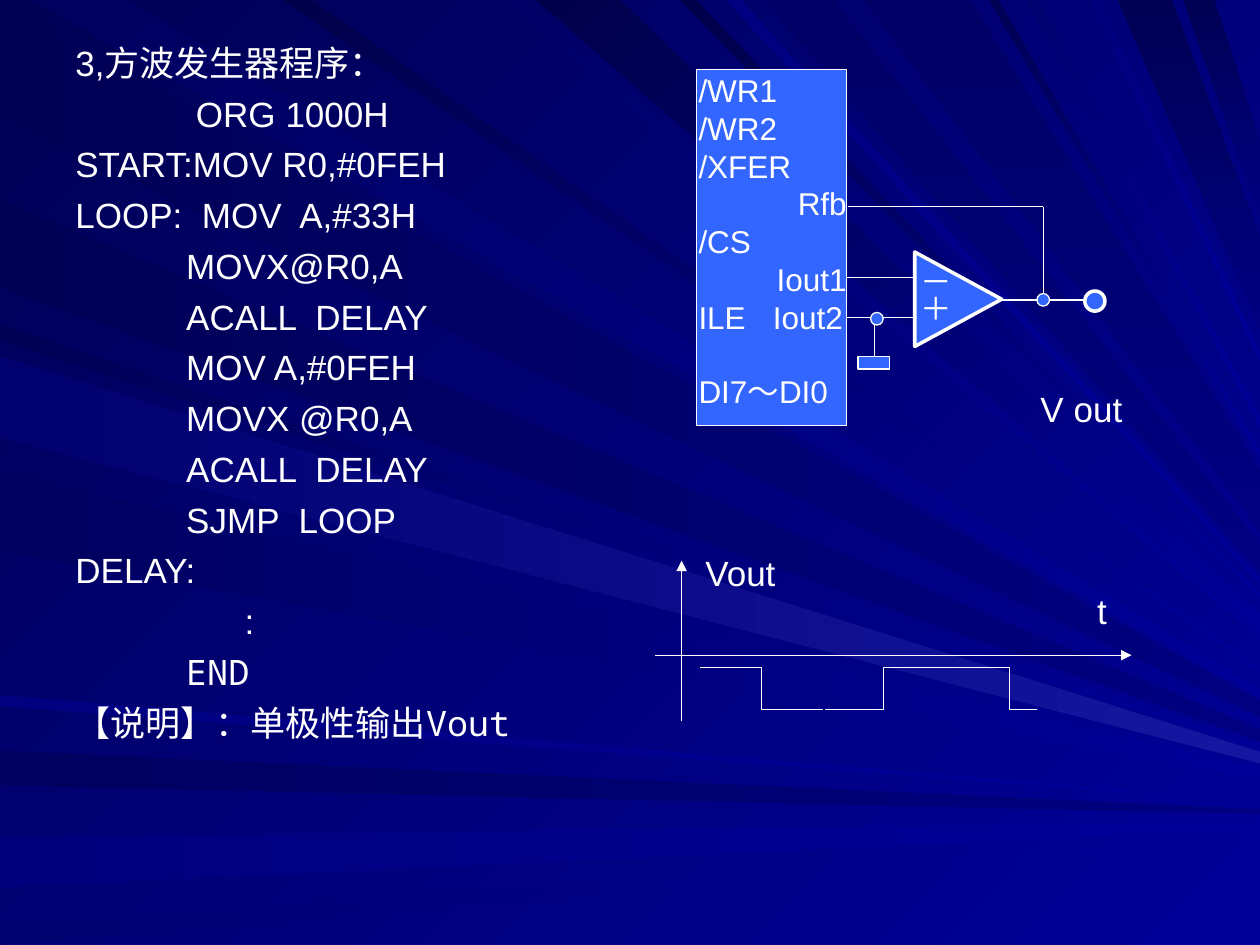
from lxml.etree import SubElement
from pptx import Presentation
from pptx.dml.color import RGBColor
from pptx.enum.shapes import MSO_CONNECTOR as Connector, MSO_SHAPE as Shape
from pptx.enum.text import MSO_ANCHOR as Anchor, PP_ALIGN as Align
from pptx.oxml.ns import qn
from pptx.util import Inches, Pt

COLORS = {
    "white": "FFFFFF", "part": "3366FF", "bright": "000099", "mid": "000080",
    "royal": "00007C", "blue": "00006E", "deep": "000066", "navy": "00005E",
    "ink": "000055", "night": "00004A", "glow": "1616A1",
}
WIDTH, HEIGHT = Inches(10), Inches(7.5)
COLUMNS = 10
UNIT = WIDTH / COLUMNS  # all lengths below are in grid columns

# Background rays run from a span of the left or top edge towards one focus
FOCUS = (11.7, 6.5)
LEFT_RAYS = [
    (0.02, 0.93, "mid", "ink"), (5.96, 6.23, "mid", "navy"),
    (6.65, 7.04, "bright", "royal"), (7.35, 7.5, "bright", "blue"),
    (2.58, 2.7, "bright", "ink"), (1.59, 2.28, "mid", "ink"),
    (3.74, 4.37, "bright", "navy"), (5.52, 5.6, "bright", "mid"),
    (2.83, 3.47, "glow", "blue"),
]
TOP_RAYS = [
    (0.26, 1.01, "bright", "navy"), (3.98, 4.16, "bright", "deep"),
    (4.26, 4.92, "bright", "night"), (5.4, 5.52, "bright", "night"),
    (6.06, 6.61, "deep", "mid"), (8.87, 9.3, "ink", "mid"),
    (9.39, 9.64, "ink", "mid"), (2.25, 2.47, "bright", "night"),
    (5.77, 5.88, "bright", "mid"), (6.86, 7.7, "deep", "mid"),
    (7.85, 7.92, "bright", "ink"), (8.15, 8.24, "bright", "blue"),
    (8.65, 8.72, "bright", "royal"),
]

PROGRAM = [
    "3,方波发生器程序：", "\t\t ORG 1000H", "START:MOV R0,#0FEH", "LOOP:  MOV  A,#33H",
    "\t\tMOVX@R0,A", "\t\tACALL  DELAY", "\t\tMOV A,#0FEH", "\t\tMOVX @R0,A",
    "\t\tACALL  DELAY", "\t\tSJMP  LOOP", "DELAY:", "\t\t      :",
]
ENDING = ["\t\tEND", "【说明】：单极性输出Vout"]
PINS = ["/WR1", "/WR2", "/XFER", "Rfb", "/CS", "Iout1", "ILE\tIout2", "DI7～DI0"]
RIGHT_PINS = {"Rfb", "Iout1"}
LABELS = [("V out", 8.16, 3.03, 0.97), ("Vout", 5.5, 4.33, 0.97), ("t", 8.61, 4.63, 0.41)]

AXES = [((5.2, 5.2), (8.98, 5.2)), ((5.41, 5.72), (5.41, 4.45))]
WIRES = [
    ((6.72, 2.2), (7.25, 2.2)), ((6.72, 2.52), (7.25, 2.52)),
    ((6.73, 1.64), (8.28, 1.64)), ((7.94, 2.38), (8.61, 2.38)),
    ((8.28, 1.64), (8.28, 2.38)), ((6.94, 2.52), (6.94, 2.83)),
]
HIGH, LOW = 5.3, 5.63
WAVE = [  # start, end, share of the width where the level changes
    ((5.56, HIGH), (6.53, LOW), 0.5), ((6.55, LOW), (7.48, HIGH), 0.5),
    ((7.48, HIGH), (8.23, LOW), 0.71),
]
TERMINALS = [  # shape, left, top, width, height, line width
    (Shape.OVAL, 8.23, 2.33, 0.1, 0.1, 0.75), (Shape.OVAL, 8.61, 2.31, 0.16, 0.16, 2),
    (Shape.RECTANGLE, 6.81, 2.83, 0.25, 0.1, 0.75), (Shape.OVAL, 6.91, 2.48, 0.1, 0.1, 0.75),
]


def grid(*lengths):
    return [round(length * UNIT) for length in lengths]


def color(name):
    return RGBColor.from_string(COLORS[name])


def paint_gradient(fill, first, second, angle):
    """Blend two colours along an angle that runs clockwise."""
    fill.gradient()
    fill.gradient_angle = 360 - angle
    for stop, name in zip(fill.gradient_stops, (first, second)):
        stop.color.rgb = color(name)


def at_right_edge(x, y):
    """Follow the line from a point to the focus as far as the right edge."""
    share = (COLUMNS - x) / (FOCUS[0] - x)
    return COLUMNS, y + (FOCUS[1] - y) * share


def add_ray(slide, start, end, first, second, angle):
    corners = [start, at_right_edge(*start), at_right_edge(*end), end]
    origin, *others = [grid(*corner) for corner in corners]
    builder = slide.shapes.build_freeform(*origin, scale=1.0)
    builder.add_line_segments(others, close=True)
    ray = builder.convert_to_shape()
    ray.shadow.inherit = False
    ray.line.fill.background()
    paint_gradient(ray.fill, first, second, angle)


def add_background(slide):
    paint_gradient(slide.background.fill, "bright", "ink", 225)
    for start, end, first, second in LEFT_RAYS:
        add_ray(slide, (0, start), (0, end), first, second, 180)
    for start, end, first, second in TOP_RAYS:
        angle = 225 if first == "bright" else 90
        add_ray(slide, (start, 0), (end, 0), first, second, angle)


def add_part(slide, kind, left, top, width, height, weight=0.75):
    part = slide.shapes.add_shape(kind, *grid(left, top, width, height))
    part.shadow.inherit = False
    part.fill.solid()
    part.fill.fore_color.rgb = color("part")
    part.line.color.rgb = color("white")
    part.line.width = Pt(weight)
    return part


def add_line(slide, start, end, arrow=False, bend=None):
    kind = Connector.STRAIGHT if bend is None else Connector.ELBOW
    line = slide.shapes.add_connector(kind, *grid(*start, *end))
    line.line.color.rgb = color("white")
    line.line.width = Pt(0.75)
    properties = line._element.spPr
    if arrow:
        SubElement(properties.find(qn("a:ln")), qn("a:tailEnd"), type="triangle")
    if bend is not None:
        guides = properties.find(qn("a:prstGeom")).find(qn("a:avLst"))
        SubElement(guides, qn("a:gd"), name="adj1", fmla=f"val {round(bend * 100000)}")
    SubElement(properties, qn("a:effectLst"))


def write(frame, lines, size, font="Arial", tabs=()):
    """Add one paragraph per line and return the paragraphs."""
    paragraphs = []
    for text in lines:
        paragraph = frame.add_paragraph() if frame.text else frame.paragraphs[0]
        paragraph.text = text
        if tabs:
            stops = SubElement(paragraph._p.get_or_add_pPr(), qn("a:tabLst"))
            for position in grid(*tabs):
                SubElement(stops, qn("a:tab"), pos=str(position), algn="l")
        paragraph.font.size = Pt(size)
        paragraph.font.name = font
        paragraph.font.color.rgb = color("white")
        paragraphs.append(paragraph)
    return paragraphs


def add_program(slide):
    frame = slide.shapes.add_textbox(*grid(0.5, 0.28, 4.84, 5.74)).text_frame
    frame.word_wrap = True
    tabs = range(8)
    lines = write(frame, PROGRAM, 20, tabs=tabs)
    lines += write(frame, ENDING, 20, "Noto Sans Mono", tabs)
    [margin] = grid(0.38)
    for paragraph in lines:
        properties = paragraph._p.get_or_add_pPr()
        properties.set("marL", str(margin))
        properties.set("indent", str(-margin))
    for paragraph in lines[1:]:
        paragraph.space_before = Pt(5)


def add_converter(slide):
    chip = add_part(slide, Shape.RECTANGLE, 5.53, 0.55, 1.19, 2.83)
    frame = chip.text_frame
    frame.word_wrap = True
    frame.vertical_anchor = Anchor.TOP
    frame.margin_left = frame.margin_top = Pt(1)
    frame.margin_right = frame.margin_bottom = 0
    pins = write(frame, PINS, 18, tabs=[0.59])
    for paragraph, name in zip(pins, PINS):
        paragraph.alignment = Align.RIGHT if name in RIGHT_PINS else Align.LEFT
    pins[-1].space_before = Pt(20.7)


def add_amplifier(slide):
    amplifier = add_part(slide, Shape.ISOSCELES_TRIANGLE, 7.23, 2.03, 0.75, 0.69, 2)
    amplifier.rotation = 90
    frame = amplifier.text_frame
    frame.word_wrap = False
    frame.vertical_anchor = Anchor.MIDDLE
    frame.margin_left = frame.margin_right = frame.margin_top = frame.margin_bottom = 0
    frame._txBody.bodyPr.set("vert", "vert270")
    for paragraph in write(frame, ["－", "＋"], 18):
        paragraph.alignment = Align.CENTER
        paragraph.line_spacing = 0.7


def main():
    presentation = Presentation()
    presentation.slide_width, presentation.slide_height = WIDTH, HEIGHT
    slide = presentation.slides.add_slide(presentation.slide_layouts[6])
    add_background(slide)
    add_program(slide)
    for start, end in AXES:
        add_line(slide, start, end, arrow=True)
    add_converter(slide)
    add_amplifier(slide)
    for start, end in WIRES:
        add_line(slide, start, end)
    for start, end, bend in WAVE:
        add_line(slide, start, end, bend=bend)
    for terminal in TERMINALS:
        add_part(slide, *terminal)
    for text, left, top, width in LABELS:
        frame = slide.shapes.add_textbox(*grid(left, top, width, 0.44)).text_frame
        frame.word_wrap = True
        write(frame, [text], 20)
    presentation.save("out.pptx")


if __name__ == "__main__":
    main()
